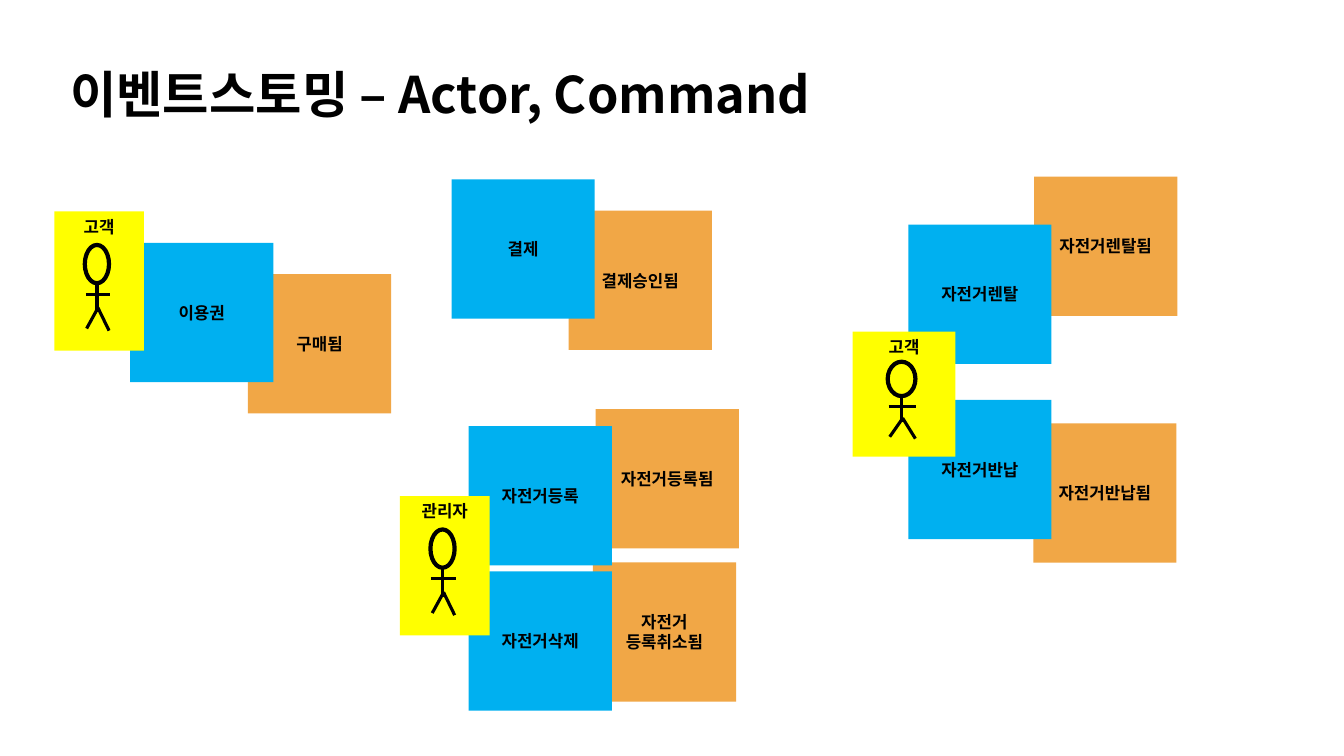
import dataclasses

import pptx
import pptx.dml.color
import pptx.enum.shapes
import pptx.enum.text
import pptx.oxml
import pptx.oxml.ns
import pptx.util

Cm = pptx.util.Cm
Pt = pptx.util.Pt
Align = pptx.enum.text.PP_ALIGN
Anchor = pptx.enum.text.MSO_ANCHOR
Preset = pptx.enum.shapes.MSO_SHAPE
Straight = pptx.enum.shapes.MSO_CONNECTOR.STRAIGHT


@dataclasses.dataclass(frozen=True)
class Theme:
    font: str = "Noto Sans CJK KR"
    ink: str = "000000"
    event: str = "F1A746"
    command: str = "00B0F0"
    actor: str = "FFFF00"
    title_size: float = 36
    note_size: float = 12
    head_line: float = 3
    limb_line: float = 2.25


THEME = Theme()
NOTE_WIDTH, NOTE_HEIGHT = 3.61, 3.51

EVENTS = [
    (6.25, 6.91, ["구매됨"]),
    (14.33, 5.31, ["결제승인됨"]),
    (26.06, 4.45, ["자전거렌탈됨"]),
    (26.04, 10.67, ["자전거반납됨"]),
    (14.94, 14.17, ["자전거", "등록취소됨"]),
    (15.01, 10.31, ["자전거등록됨"]),
]
COMMANDS = [
    (3.28, 6.12, ["이용권"]),
    (11.38, 4.52, ["결제"]),
    (22.89, 5.66, ["자전거렌탈"]),
    (22.89, 10.08, ["자전거반납"]),
    (11.81, 10.74, ["자전거등록"]),
    (11.81, 14.4, ["자전거삭제"]),
]
ACTORS = [
    (1.37, 5.33, 2.26, 3.51, "고객"),
    (21.49, 8.36, 2.59, 3.15, "고객"),
    (10.08, 12.5, 2.26, 3.51, "관리자"),
]
HEAD = (0.34, 0.24, 0.27, 0.275)
LIMBS = [
    (0.35, 0.595, 0.62, 0.595),
    (0.475, 0.515, 0.475, 0.725),
    (0.475, 0.705, 0.36, 0.84),
    (0.485, 0.69, 0.61, 0.855),
]


def color(value):
    return pptx.dml.color.RGBColor.from_string(value)


def write(box, lines, size, align, anchor):
    frame = box.text_frame
    frame.word_wrap = True
    frame.vertical_anchor = anchor
    for index, line in enumerate(lines):
        para = frame.add_paragraph() if index else frame.paragraphs[0]
        para.alignment = align
        span = para.add_run()
        span.text = line
        span.font.size = Pt(size)
        span.font.bold = True
        span.font.name = THEME.font
        span.font.color.rgb = color(THEME.ink)
        east_asian = pptx.oxml.parse_xml(
            f'<a:ea {pptx.oxml.ns.nsdecls("a")} typeface="{THEME.font}"/>')
        span.font._element.find(pptx.oxml.ns.qn("a:latin")).addnext(east_asian)


def add_title(page, text):
    box = page.shapes.add_textbox(Cm(1.52), Cm(0.61), Cm(29.21), Cm(3.68))
    write(box, [text], THEME.title_size, Align.LEFT, Anchor.MIDDLE)
    box.text_frame.paragraphs[0].line_spacing = 0.9


def add_note(shapes, left, top, width, height, fill, lines, anchor=Anchor.MIDDLE):
    note = shapes.add_shape(Preset.RECTANGLE, Cm(left), Cm(top), Cm(width), Cm(height))
    note.shadow.inherit = False
    note.fill.solid()
    note.fill.fore_color.rgb = color(fill)
    note.line.fill.background()
    write(note, lines, THEME.note_size, Align.CENTER, anchor)


def draw_line(shape, width):
    shape.line.color.rgb = color(THEME.ink)
    shape.line.width = Pt(width)


def add_limb(shapes, *ends):
    limb = shapes.add_connector(Straight, *map(Cm, ends))
    draw_line(limb, THEME.limb_line)
    limb._element.spPr.append(
        pptx.oxml.parse_xml(f'<a:effectLst {pptx.oxml.ns.nsdecls("a")}/>'))


def add_actor(page, left, top, width, height, name):
    shapes = page.shapes.add_group_shape().shapes
    add_note(shapes, left, top, width, height, THEME.actor, [name], Anchor.TOP)
    x, y, head_width, head_height = HEAD
    head = shapes.add_shape(
        Preset.OVAL, Cm(left + x * width), Cm(top + y * height),
        Cm(head_width * width), Cm(head_height * height))
    head.shadow.inherit = False
    head.fill.background()
    draw_line(head, THEME.head_line)
    for x1, y1, x2, y2 in LIMBS:
        add_limb(shapes, left + x1 * width, top + y1 * height,
                 left + x2 * width, top + y2 * height)


def main():
    deck = pptx.Presentation()
    deck.slide_width, deck.slide_height = Cm(33.87), Cm(19.05)
    page = deck.slides.add_slide(deck.slide_layouts[6])
    add_title(page, "이벤트스토밍 – Actor, Command")
    for notes, fill in ((EVENTS, THEME.event), (COMMANDS, THEME.command)):
        for left, top, lines in notes:
            add_note(page.shapes, left, top, NOTE_WIDTH, NOTE_HEIGHT, fill, lines)
    for actor in ACTORS:
        add_actor(page, *actor)
    deck.save("out.pptx")


if __name__ == "__main__":
    main()
